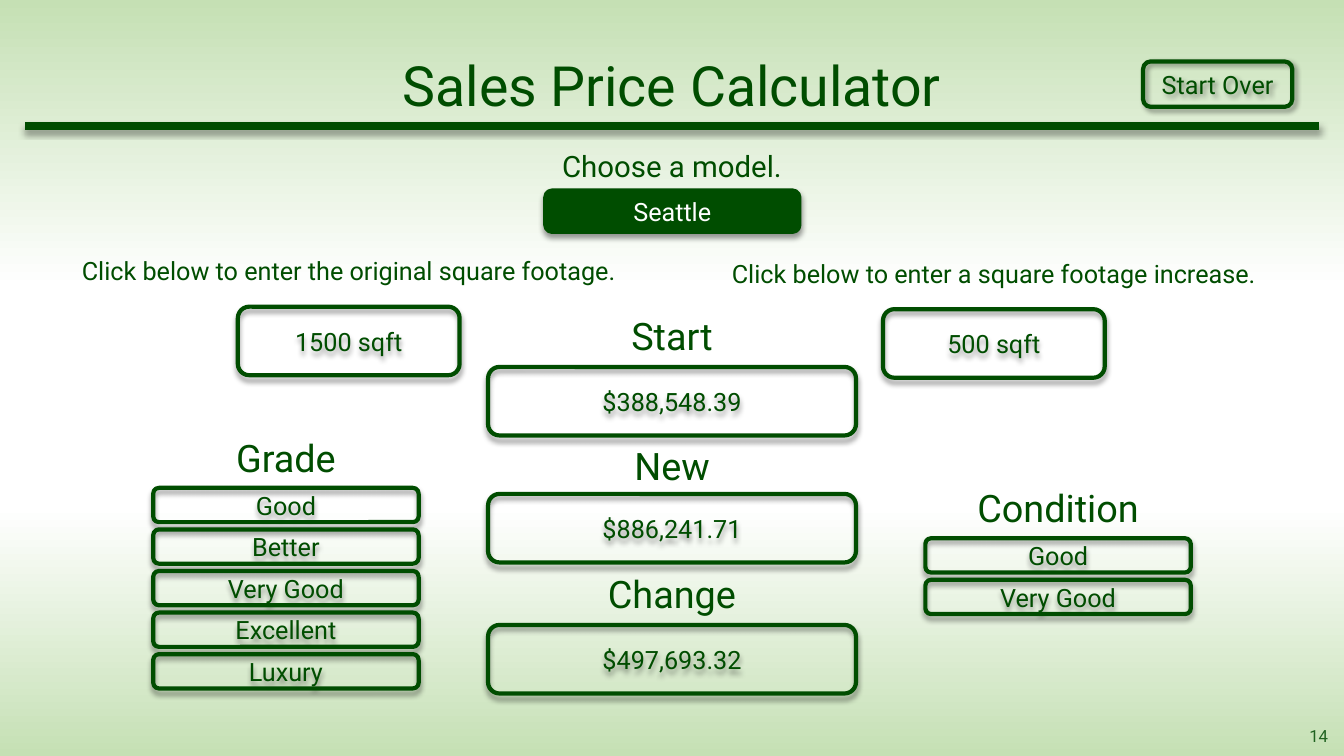
from lxml import etree
from pptx import Presentation
from pptx.dml.color import RGBColor
from pptx.enum.shapes import MSO_CONNECTOR, MSO_SHAPE
from pptx.enum.text import MSO_ANCHOR, PP_ALIGN
from pptx.oxml.ns import qn
from pptx.util import Inches, Pt

STRAIGHT = MSO_CONNECTOR.STRAIGHT
ROUNDED = MSO_SHAPE.ROUNDED_RECTANGLE
MIDDLE = MSO_ANCHOR.MIDDLE
CENTER = PP_ALIGN.CENTER

FONT = "Roboto"
COLORS = {
    "green": "004D00",
    "number": "216321",
    "pale": "C5E0B4",
    "white": "FFFFFF",
    "shadow": "000000",
}
BACKGROUND_STOPS = [(0, "pale"), (38, "white"), (67, "white"), (100, "pale")]

# Grid of 40 columns by 30 rows
WIDTH, HEIGHT = Inches(13.333), Inches(7.5)
COL, ROW = WIDTH / 40, HEIGHT / 30

MARGIN, FULL_WIDTH = 0.75, 38.5
LINE_ROWS = 1.64
HEADING_ROWS = 2.24
VALUE_ROWS = 2.72
OPTION_COLS, OPTION_ROWS, OPTION_PITCH = 7.9, 1.36, 1.65
PRICE_COLS = 10.95


def rgb(name):
    return RGBColor.from_string(COLORS[name])


def grid(x, y, w, h):
    return round(x * COL), round(y * ROW), round(w * COL), round(h * ROW)


def add_color(parent, name):
    return etree.SubElement(parent, qn("a:srgbClr"), val=COLORS[name])


def set_background(s):
    fill = s.background.fill
    fill.gradient()
    fill.gradient_angle = 270
    stops = s.element.find(".//" + qn("a:gsLst"))
    for stop in list(stops):
        stops.remove(stop)
    for percent, name in BACKGROUND_STOPS:
        add_color(etree.SubElement(stops, qn("a:gs"), pos=str(percent * 1000)), name)


def add_shadow(sp, degrees=90):
    effects = etree.SubElement(sp.element.spPr, qn("a:effectLst"))
    shadow = etree.SubElement(
        effects, qn("a:outerShdw"), blurRad=str(Pt(4)), dist=str(Pt(3)),
        dir=str(degrees * 60000), rotWithShape="0")
    etree.SubElement(add_color(shadow, "shadow"), qn("a:alpha"), val="40000")


def write(sp, text, size, color):
    tf = sp.text_frame
    tf.word_wrap = True
    tf.vertical_anchor = MIDDLE
    p = tf.paragraphs[0]
    p.text = text
    p.alignment = CENTER
    p.font.name = FONT
    p.font.size = Pt(size)
    p.font.color.rgb = rgb(color)
    return p


def add_label(s, box, text, size, color="green"):
    sp = s.shapes.add_textbox(*grid(*box))
    return sp, write(sp, text, size, color)


def add_prompt(s, box, text, size=18):
    sp, p = add_label(s, box, text, size)
    p.line_spacing = 0.9
    p.space_before = Pt(10)


def add_heading(s, center, top, width, text):
    sp, p = add_label(s, (center - width / 2, top, width, HEADING_ROWS), text, 27)
    sp.text_frame.word_wrap = False


def add_button(s, box, text, filled=False, shadow_angle=90):
    sp = s.shapes.add_shape(ROUNDED, *grid(*box))
    if filled:
        sp.fill.solid()
        sp.fill.fore_color.rgb = rgb("green")
    else:
        sp.fill.background()
    sp.line.color.rgb = rgb("green")
    sp.line.width = Pt(3)
    add_shadow(sp, shadow_angle)
    write(sp, text, 18, "white" if filled else "green")


def add_options(s, x, y, heading, heading_width, options):
    """Stack of buttons under a heading centred above them."""
    add_heading(s, x + OPTION_COLS / 2, y - 2.34, heading_width, heading)
    for i, option in enumerate(options):
        add_button(s, (x, y + i * OPTION_PITCH, OPTION_COLS, OPTION_ROWS), option)


def add_rule(s, y):
    left, top, width, _ = grid(MARGIN, y, FULL_WIDTH, 0)
    line = s.shapes.add_connector(STRAIGHT, left, top, left + width, top)
    line.line.color.rgb = rgb("green")
    line.line.width = Pt(6)
    add_shadow(line)


def main():
    prs = Presentation()
    prs.slide_width, prs.slide_height = WIDTH, HEIGHT
    s = prs.slides.add_slide(prs.slide_layouts[6])
    set_background(s)

    add_rule(s, 5)
    _, title = add_label(s, (MARGIN, 2, FULL_WIDTH, 3), "Sales Price Calculator", 39.6)
    title.line_spacing = 0.9
    add_button(s, (34.02, 2.44, 4.44, 1.8), "Start Over", shadow_angle=45)
    add_label(s, (38.5, 28.4, 1.5, 1.6), "14", 12, "number")

    add_prompt(s, (MARGIN, 5.84, FULL_WIDTH, LINE_ROWS), "Choose a model.", 21)
    add_button(s, (16.23, 7.56, 7.56, LINE_ROWS), "Seattle", filled=True)

    for x, y, prompt, footage in [
        (MARGIN, 10, "Click below to enter the original square footage.", "1500 sqft"),
        (19.95, 10.1, "Click below to enter a square footage increase.", "500 sqft"),
    ]:
        add_prompt(s, (x, y, 19.26, LINE_ROWS), prompt)
        add_button(s, (x + 6.33, y + 2.17, 6.6, VALUE_ROWS), footage)

    for heading, width, heading_top, price_top, price in [
        ("Start", 3.06, 12.2, 14.56, "$388,548.39"),
        ("New", 2.94, 17.36, 19.6, "$886,241.71"),
        ("Change", 4.53, 22.44, 24.8, "$497,693.32"),
    ]:
        add_heading(s, 20, heading_top, width, heading)
        add_button(s, (20 - PRICE_COLS / 2, price_top, PRICE_COLS, VALUE_ROWS), price)

    add_options(s, 4.56, 19.36, "Grade", 3.69,
                ["Good", "Better", "Very Good", "Excellent", "Luxury"])
    add_options(s, 27.54, 21.36, "Condition", 5.67, ["Good", "Very Good"])

    prs.save("out.pptx")


if __name__ == "__main__":
    main()
